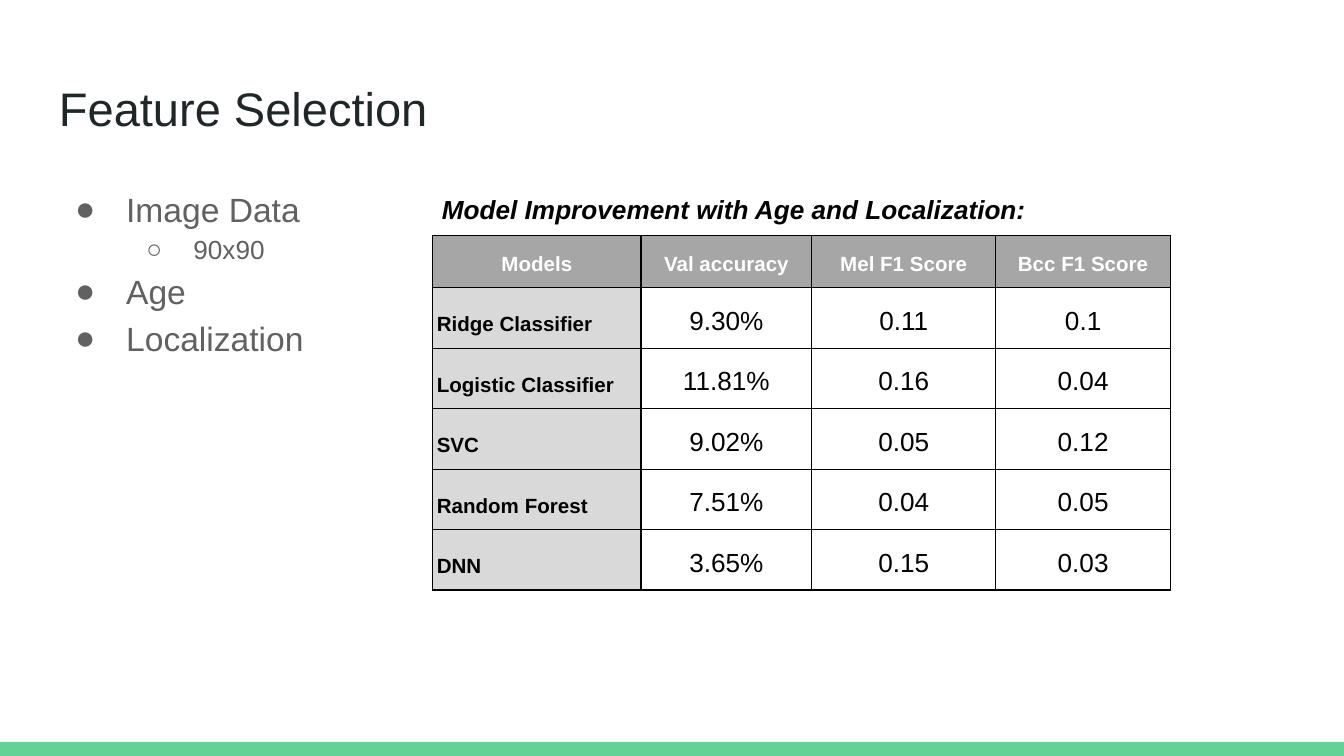
"""Build the Feature Selection slide with a bullet list and a model score table."""
from lxml.etree import SubElement
from pptx import Presentation
from pptx.dml.color import RGBColor
from pptx.enum.shapes import MSO_SHAPE
from pptx.enum.text import MSO_ANCHOR, PP_ALIGN
from pptx.oxml.ns import qn
from pptx.util import Inches, Pt

GREEN = RGBColor(0x63, 0xD2, 0x97)
INK = RGBColor(0x20, 0x27, 0x29)
GREY = RGBColor(0x61, 0x61, 0x61)
HEADER_GREY = RGBColor(0xA6, 0xA6, 0xA6)
LABEL_GREY = RGBColor(0xD9, 0xD9, 0xD9)
BLACK = RGBColor(0x00, 0x00, 0x00)
WHITE = RGBColor(0xFF, 0xFF, 0xFF)


def add_box(page, left, top, width, height):
    box = page.shapes.add_textbox(Inches(left), Inches(top), Inches(width), Inches(height))
    frame = box.text_frame
    frame.word_wrap = True
    for side in ("left", "top", "right", "bottom"):
        setattr(frame, f"margin_{side}", Inches(0.1))
    return frame


def write(para, text, size, color, **style):
    span = para.add_run()
    span.text = text
    span.font.color.rgb = color
    for name, value in {"name": "Arial", "size": Pt(size), **style}.items():
        setattr(span.font, name, value)


deck = Presentation()
deck.slide_width = Inches(10)
deck.slide_height = Inches(10) * 9 // 16
page = deck.slides.add_slide(deck.slide_layouts[6])

band_top = Inches(5.52)
band = page.shapes.add_shape(
    MSO_SHAPE.RECTANGLE, 0, band_top, deck.slide_width, deck.slide_height - band_top
)
band.shadow.inherit = False
band.fill.solid()
band.fill.fore_color.rgb = GREEN
band.line.fill.background()

title = add_box(page, 0.34, 0.49, 9.32, 0.63)
write(title.paragraphs[0], "Feature Selection", 25.2, INK)

features = add_box(page, 0.34, 1.26, 9.32, 3.74)
levels = [("●", 0.5, -0.38, 18), ("○", 1, -0.35, 14)]
items = [("Image Data", 0), ("90x90", 1), ("Age", 0), ("Localization", 0)]
for index, (text, level) in enumerate(items):
    para = features.add_paragraph() if index else features.paragraphs[0]
    mark, margin, indent, size = levels[level]
    para.level = level
    para.line_spacing = 1.15
    properties = para._p.get_or_add_pPr()
    properties.set("marL", str(Inches(margin)))
    properties.set("indent", str(Inches(indent)))
    bullet_color = SubElement(properties, qn("a:buClr"))
    SubElement(bullet_color, qn("a:srgbClr"), val=str(GREY))
    SubElement(properties, qn("a:buFont"), typeface="Arial")
    SubElement(properties, qn("a:buChar"), char=mark)
    write(para, text, size, GREY)

scores = [
    ("Models", "Val accuracy", "Mel F1 Score", "Bcc F1 Score"),
    ("Ridge Classifier", "9.30%", "0.11", "0.1"),
    ("Logistic Classifier", "11.81%", "0.16", "0.04"),
    ("SVC", "9.02%", "0.05", "0.12"),
    ("Random Forest", "7.51%", "0.04", "0.05"),
    ("DNN", "3.65%", "0.15", "0.03"),
]
column_widths = [1.55, 1.27, 1.37, 1.3]
row_heights = [0.39] + [0.45] * 5
table = page.shapes.add_table(
    len(scores), len(column_widths), Inches(3.22), Inches(1.75),
    Inches(sum(column_widths)), Inches(sum(row_heights)),
).table
for column, width in zip(table.columns, column_widths):
    column.width = Inches(width)
for row, height in zip(table.rows, row_heights):
    row.height = Inches(height)

cell_format = {
    "vertical_anchor": MSO_ANCHOR.BOTTOM,
    "margin_left": Inches(0.03),
    "margin_right": Inches(0.03),
    "margin_top": Inches(0.09),
    "margin_bottom": Inches(0.09),
}
for row_index, values in enumerate(scores):
    for column_index, text in enumerate(values):
        cell = table.cell(row_index, column_index)
        for name, value in cell_format.items():
            setattr(cell, name, value)
        for edge in ("a:lnL", "a:lnR", "a:lnT", "a:lnB"):
            border = SubElement(cell._tc.get_or_add_tcPr(), qn(edge), w=str(Pt(0.75)))
            SubElement(SubElement(border, qn("a:solidFill")), qn("a:srgbClr"), val=str(BLACK))

        is_header = row_index == 0
        is_label = column_index == 0 and not is_header
        if is_header or is_label:
            cell.fill.solid()
            cell.fill.fore_color.rgb = HEADER_GREY if is_header else LABEL_GREY
        else:
            cell.fill.background()
        para = cell.text_frame.paragraphs[0]
        para.alignment = PP_ALIGN.LEFT if is_label else PP_ALIGN.CENTER
        para.line_spacing = 1.15
        is_heading = is_header or is_label
        write(para, text, 11 if is_heading else 14, WHITE if is_header else BLACK, bold=is_heading)

caption = add_box(page, 3.19, 1.34, 4.87, 0.44)
write(caption.paragraphs[0], "Model Improvement with Age and Localization:", 14, BLACK,
      bold=True, italic=True)

deck.save("out.pptx")
